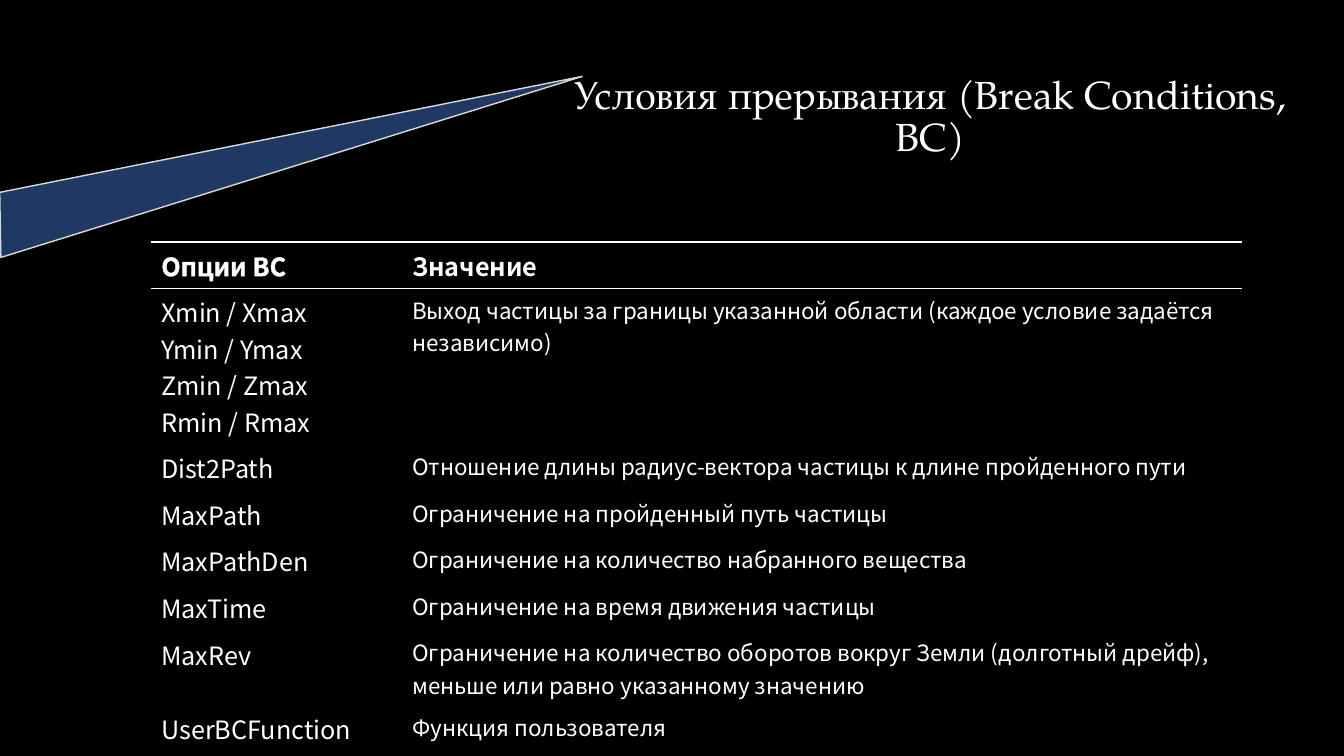
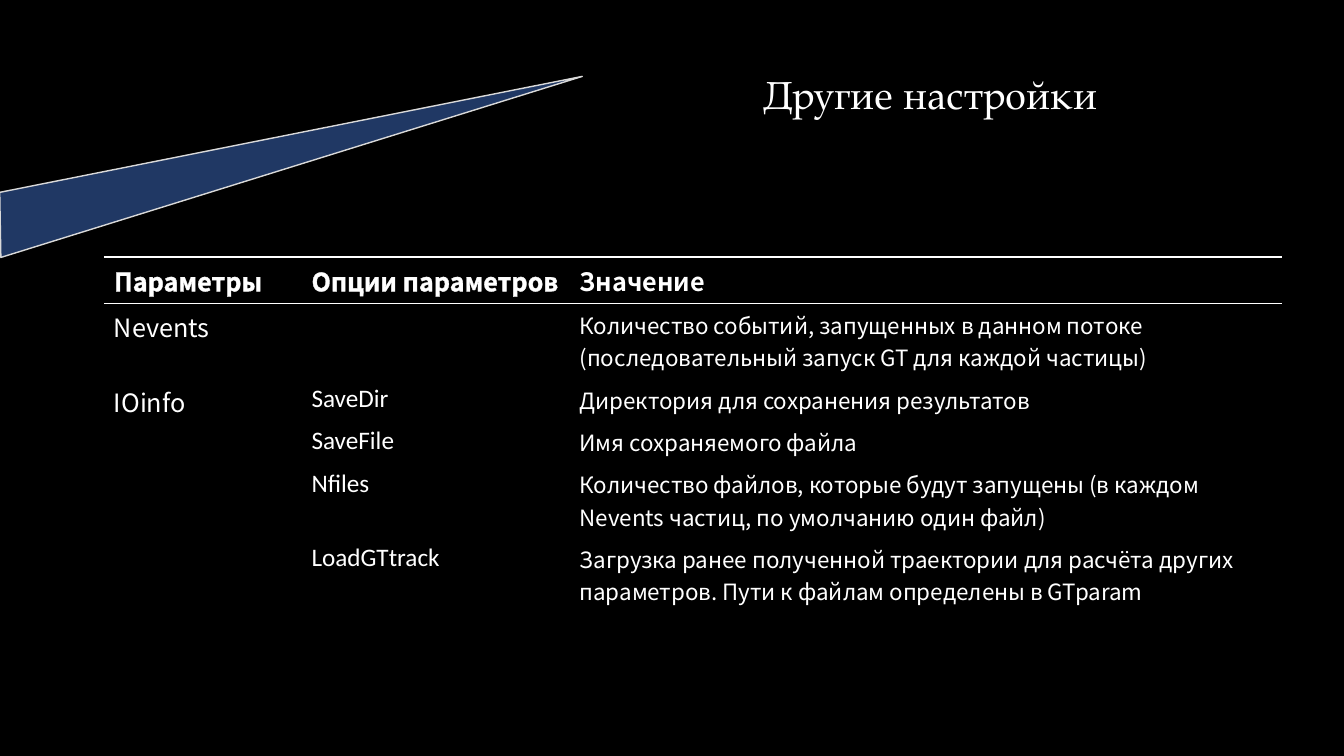
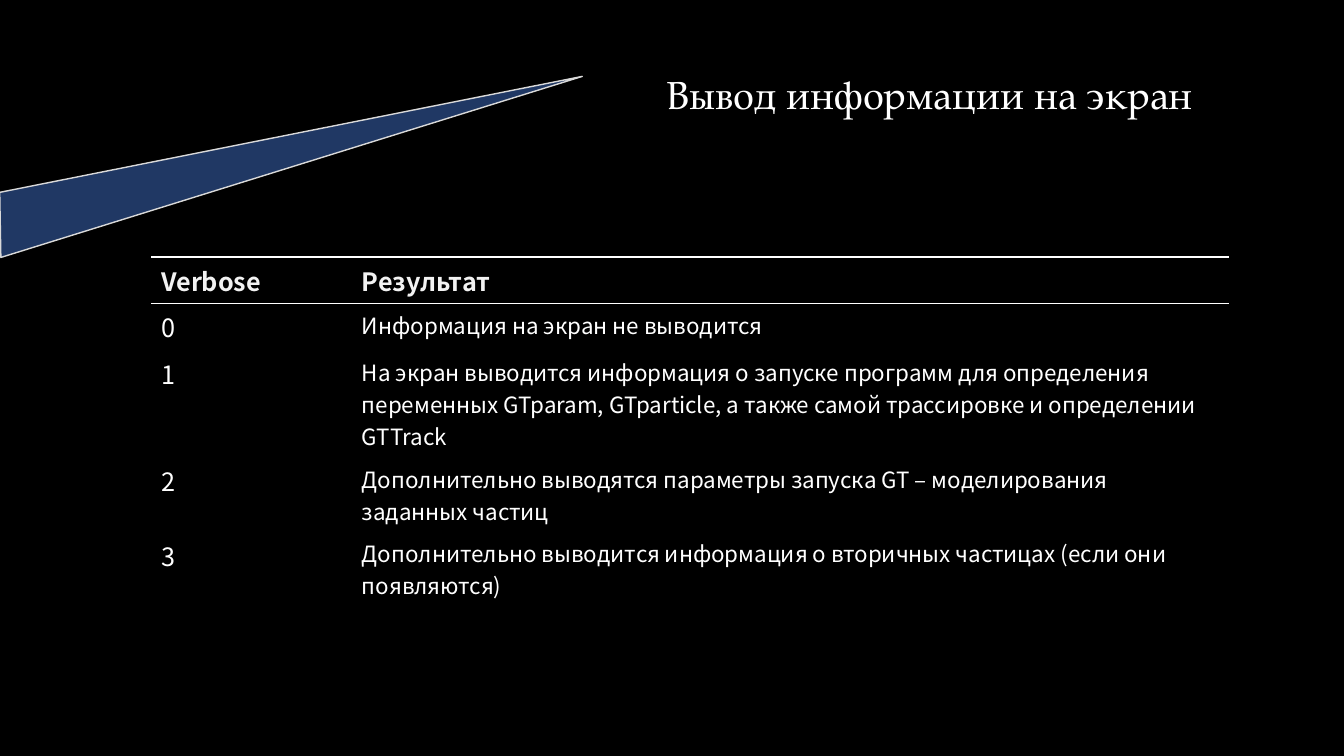
from lxml import etree
from pptx import Presentation
from pptx import util as u
from pptx.dml.color import RGBColor
from pptx.enum import shapes, text
from pptx.oxml import ns

COLORS = {
    "back": "000000",
    "ink": "FFFFFF",
    "soft": "F2F2F2",
    "wedge": "203864",
    "edge": "D9D9D9",
}
TITLE_FONT = "TeX Gyre Pagella"
TABLE_FONT = "Noto Sans CJK SC"
OPTION_FONT = "Calibri"
WIDTH, HEIGHT = u.Inches(13.33), u.Inches(7.5)
ROW_SHARE = 5.47
PLAIN_STYLE = "{2D5ABB26-0587-4C30-8999-92F81FD0307C}"

NAME = {"size": 18}
OPTION = {"size": 18, "font": OPTION_FONT}
VALUE = {"size": 16}

BREAK_CONDITIONS = [
    ("Опции BC", "Значение"),
    ("Xmin / Xmax\nYmin / Ymax\nZmin / Zmax\nRmin / Rmax",
     "Выход частицы за границы указанной области (каждое условие задаётся независимо)"),
    ("Dist2Path", "Отношение длины радиус-вектора частицы к длине пройденного пути"),
    ("MaxPath", "Ограничение на пройденный путь частицы"),
    ("MaxPathDen", "Ограничение на количество набранного вещества"),
    ("MaxTime", "Ограничение на время движения частицы"),
    ("MaxRev",
     "Ограничение на количество оборотов вокруг Земли (долготный дрейф), "
     "меньше или равно указанному значению"),
    ("UserBCFunction", "Функция пользователя"),
]
OTHER_SETTINGS = [
    ("Параметры", "Опции параметров", "Значение"),
    ("Nevents", "",
     "Количество событий, запущенных в данном потоке "
     "(последовательный запуск GT для каждой частицы)"),
    ("IOinfo", "SaveDir", "Директория для сохранения результатов"),
    ("", "SaveFile", "Имя сохраняемого файла"),
    ("", "Nfiles",
     "Количество файлов, которые будут запущены "
     "(в каждом Nevents частиц, по умолчанию один файл)"),
    ("", "LoadGTtrack",
     "Загрузка ранее полученной траектории для расчёта других параметров. "
     "Пути к файлам определены в GTparam"),
]
VERBOSE_LEVELS = [
    ("Verbose", "Результат"),
    ("0", "Информация на экран не выводится"),
    ("1",
     "На экран выводится информация о запуске программ для определения переменных "
     "GTparam, GTparticle, а также самой трассировке и определении GTTrack"),
    ("2", "Дополнительно выводятся параметры запуска GT – моделирования заданных частиц"),
    ("3", "Дополнительно выводится информация о вторичных частицах (если они появляются)"),
]


def across(percent):
    return round(WIDTH * percent / 100)


def down(percent):
    return round(HEIGHT * percent / 100)


def rgb(name):
    return RGBColor.from_string(COLORS[name])


def add_line(parent, tag, index, color, points):
    line = etree.Element(ns.qn(tag), w=str(u.Pt(points)))
    fill = etree.SubElement(line, ns.qn("a:solidFill"))
    etree.SubElement(fill, ns.qn("a:srgbClr"), val=COLORS[color])
    parent.insert(index, line)


def write(frame, words, size=18, font=TABLE_FONT, color="ink", bold=False,
          outline=False, align=None, spacing=None):
    for number, line in enumerate(words.split("\n")):
        para = frame.add_paragraph() if number else frame.paragraphs[0]
        para.alignment = align
        para.line_spacing = spacing
        span = para.add_run()
        span.text = line
        span.font.size = u.Pt(size)
        span.font.name = font
        span.font.bold = bold
        span.font.color.rgb = rgb(color)
        if outline:
            add_line(span._r.get_or_add_rPr(), "a:ln", 0, "soft", 0.75)


def set_layout(deck):
    fill = deck.slide_master.background.fill
    fill.solid()
    fill.fore_color.rgb = rgb("back")
    layout = deck.slide_layouts[5]
    title = layout.placeholders[0]
    title.left, title.top = across(41.86), down(9.33)
    title.width, title.height = across(54.69), down(7.6)
    return layout


def add_wedge(page):
    wedge = page.shapes.add_shape(
        shapes.MSO_SHAPE.ISOSCELES_TRIANGLE,
        across(-1.65), down(14), across(45.31), down(8.27))
    wedge.adjustments[0] = 0.03
    wedge.rotation = 342.7
    wedge.shadow.inherit = False
    wedge.fill.solid()
    wedge.fill.fore_color.rgb = rgb("wedge")
    wedge.line.color.rgb = rgb("edge")
    wedge.line.width = u.Pt(1)


def add_page(deck, layout, title):
    page = deck.slides.add_slide(layout)
    frame = page.shapes.title.text_frame
    frame.word_wrap = True
    frame.auto_size = text.MSO_AUTO_SIZE.NONE
    frame.vertical_anchor = text.MSO_ANCHOR.TOP
    write(frame, title, size=28, font=TITLE_FONT,
          align=text.PP_ALIGN.CENTER, spacing=0.9)
    add_wedge(page)
    return page


def add_grid(page, rows, left, top, widths, formats, head_color="ink"):
    holder = page.shapes.add_table(
        len(rows), len(widths), across(left), down(top),
        across(sum(widths)), down(ROW_SHARE * len(rows)))
    next(holder.element.iter(ns.qn("a:tableStyleId"))).text = PLAIN_STYLE
    table = holder.table
    table.first_row = table.horz_banding = False
    for column, width in zip(table.columns, widths):
        column.width = across(width)
    for row, entries in enumerate(rows):
        table.rows[row].height = down(ROW_SHARE)
        for column, words in enumerate(entries):
            cell = table.cell(row, column)
            style = formats[column]
            if row == 0:
                style = {"bold": True, "color": head_color,
                         "outline": column < len(widths) - 1}
                for index, tag in enumerate(("a:lnT", "a:lnB")):
                    add_line(cell._tc.get_or_add_tcPr(), tag, index, "ink", 1)
            cell.fill.background()
            if words:
                write(cell.text_frame, words, **style)
    return table


def main():
    deck = Presentation()
    deck.slide_width, deck.slide_height = WIDTH, HEIGHT
    layout = set_layout(deck)

    page = add_page(deck, layout, "Условия прерывания (Break Conditions, BC)")
    add_grid(page, BREAK_CONDITIONS, 11.25, 32, (18.68, 62.49), (NAME, VALUE))

    page = add_page(deck, layout, "Другие настройки")
    table = add_grid(page, OTHER_SETTINGS, 7.73, 34, (14.7, 19.95, 53.04),
                     (NAME, OPTION, VALUE))
    table.cell(2, 0).merge(table.cell(5, 0))

    page = add_page(deck, layout, "Вывод информации на экран")
    add_grid(page, VERBOSE_LEVELS, 11.25, 34, (14.93, 65.27), (NAME, VALUE),
             head_color="soft")

    deck.save("out.pptx")


if __name__ == "__main__":
    main()
